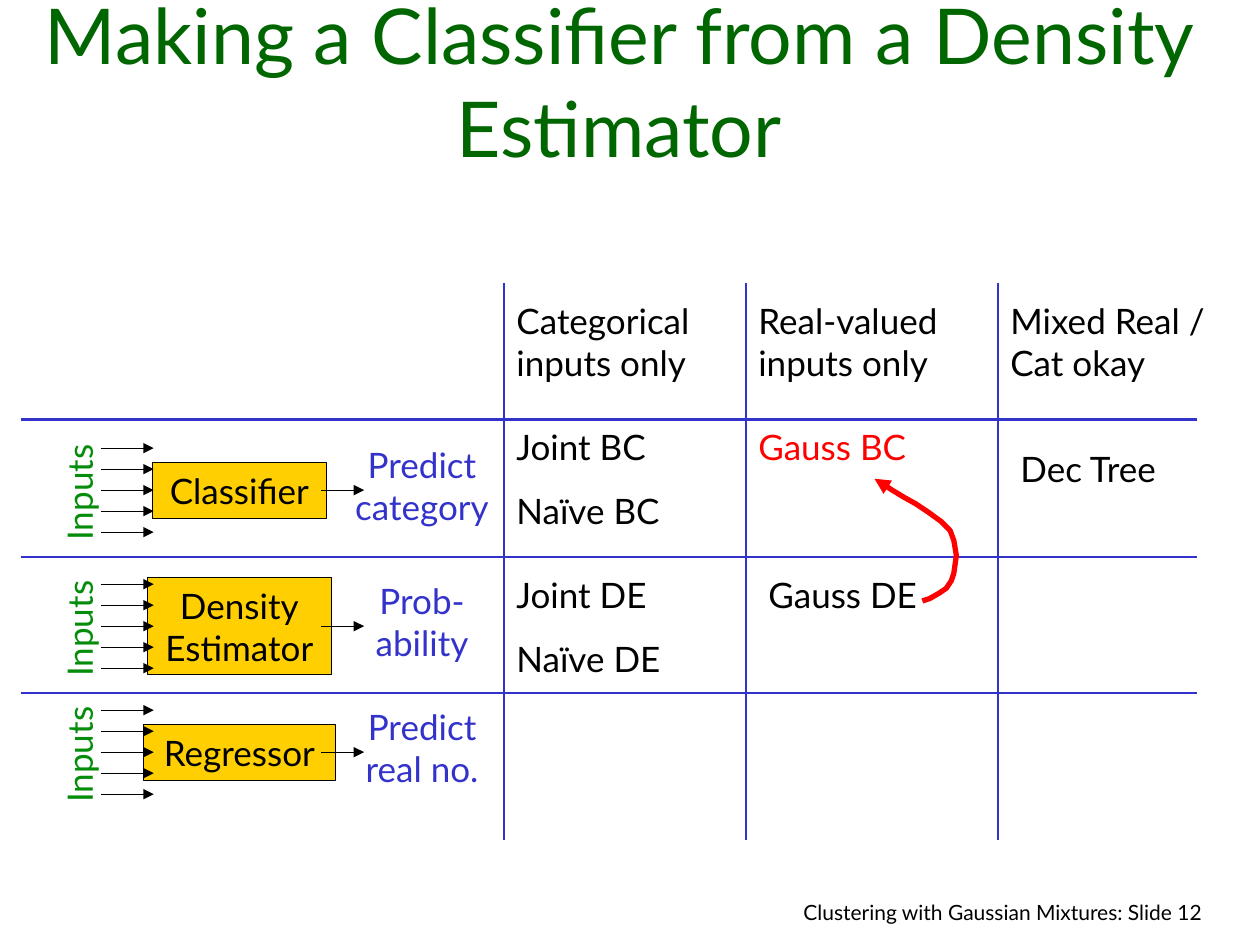
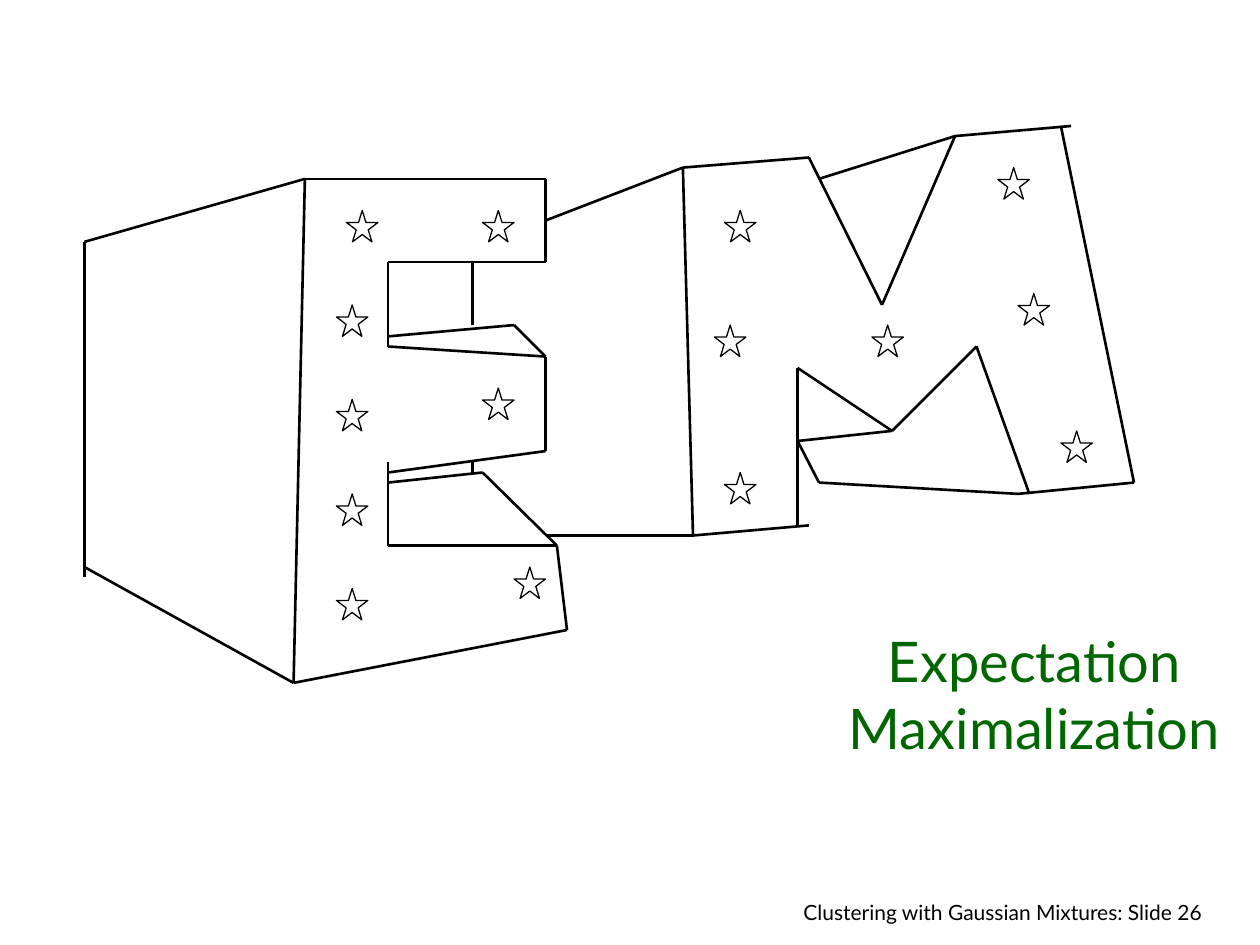
from pptx import Presentation
from pptx.dml.color import RGBColor
from pptx.enum.shapes import MSO_CONNECTOR, MSO_SHAPE
from pptx.enum.text import MSO_ANCHOR, MSO_AUTO_SIZE, PP_ALIGN
from pptx.oxml.ns import qn
from pptx.util import Inches, Pt
from lxml.etree import SubElement

COLORS = {
    "title": "006600",
    "inputs": "048C0A",
    "box": "FFCF01",
    "grid": "3333CC",
    "accent": "FF0000",
    "black": "000000",
}
FONT = "Lato"


def add_text(s, text, left, top, width, height, size=20, color="black", align=PP_ALIGN.LEFT,
             anchor=MSO_ANCHOR.TOP, before=0, wrap=True, grow=True, shape=None, rotation=0):
    place = [Inches(v) for v in (left, top, width, height)]
    sp = s.shapes.add_shape(shape, *place) if shape else s.shapes.add_textbox(*place)
    sp.rotation = rotation
    tf = sp.text_frame
    tf.word_wrap = wrap
    tf.auto_size = MSO_AUTO_SIZE.SHAPE_TO_FIT_TEXT if grow else MSO_AUTO_SIZE.NONE
    tf.vertical_anchor = anchor
    for i, line in enumerate(text.split("\n")):
        p = tf.paragraphs[0] if i == 0 else tf.add_paragraph()
        p.alignment = align
        p.space_before = Pt(before)
        r = p.add_run()
        r.text = line
        r.font.name = FONT
        r.font.size = Pt(size)
        r.font.color.rgb = RGBColor.from_string(COLORS[color])
    return sp


def add_line(s, points, color="black", width=1.5, arrow=False):
    points = [(Inches(x), Inches(y)) for x, y in points]
    if len(points) == 2:
        sp = s.shapes.add_connector(MSO_CONNECTOR.STRAIGHT, *points[0], *points[1])
        SubElement(sp._element.spPr, qn("a:effectLst"))
    else:
        builder = s.shapes.build_freeform(*points[0])
        builder.add_line_segments(points[1:], close=False)
        sp = builder.convert_to_shape()
        sp.shadow.inherit = False
        sp.fill.background()
    sp.line.color.rgb = RGBColor.from_string(COLORS[color])
    sp.line.width = Pt(width)
    if arrow:
        SubElement(sp.line._get_or_add_ln(), qn("a:tailEnd"), type="triangle")


prs = Presentation()
prs.slide_width, prs.slide_height = Inches(10), Inches(7.5)

titles = [
    (12, "Making a Classifier from a Density Estimator", (0.25, 0.25, 9.33, 1.17), 44),
    (26, "Expectation Maximalization", (6.42, 4.17, 3.58, 1.92), 32),
]
slides = []
for number, title, place, size in titles:
    s = prs.slides.add_slide(prs.slide_layouts[6])
    add_text(s, f"Clustering with Gaussian Mixtures: Slide {number}", 5.72, 7.09, 3.92, 0.33,
             size=12, align=PP_ALIGN.RIGHT, before=7.5)
    add_text(s, title, *place, size=size, color="title", align=PP_ALIGN.CENTER,
             anchor=MSO_ANCHOR.BOTTOM, grow=False)
    slides.append(s)
table_slide, em_slide = slides

s = table_slide
models = [
    (3.89, "Classifier", 1.38, 0.44, "Predict\ncategory", 1.34),
    (4.97, "Density\nEstimator", 1.46, 0.77, "Prob-\nability", 0.98),
    (5.97, "Regressor", 1.52, 0.44, "Predict\nreal no.", 1.19),
]
for mid, model, box_w, box_h, output, output_w in models:
    add_text(s, "Inputs", 0.11, mid - 0.2, 1.04, 0.44, color="inputs",
             align=PP_ALIGN.CENTER, wrap=False, rotation=270)
    box = add_text(s, model, 1.9 - box_w / 2, mid - box_h / 2, box_w, box_h,
                   align=PP_ALIGN.CENTER, anchor=MSO_ANCHOR.MIDDLE, wrap=False,
                   shape=MSO_SHAPE.RECTANGLE)
    box.shadow.inherit = False
    box.fill.solid()
    box.fill.fore_color.rgb = RGBColor.from_string(COLORS["box"])
    box.line.color.rgb = RGBColor.from_string(COLORS["black"])
    box.line.width = Pt(0.25)
    add_text(s, output, 3.35 - output_w / 2, mid - 0.42, output_w, 0.77, color="grid",
             align=PP_ALIGN.CENTER, wrap=False)
    for step in range(-2, 3):
        y = mid + step / 6
        add_line(s, [(0.8, y), (1.22, y)], width=0.25, arrow=True)
    add_line(s, [(2.55, mid), (2.89, mid)], width=0.25, arrow=True)

for y in (3.33, 4.42, 5.5):
    add_line(s, [(0.17, y), (9.5, y)], color="grid")
for x in (4, 5.92, 7.92):
    add_line(s, [(x, 6.67), (x, 2.25)], color="grid")

cells = [
    ("Categorical inputs only", 4, 2.33, 1.92, 0.77, "black"),
    ("Real-valued inputs only", 5.92, 2.33, 1.92, 0.77, "black"),
    ("Mixed Real / Cat okay", 7.92, 2.33, 1.92, 0.77, "black"),
    ("Joint BC\nNaïve BC", 4, 3.33, 1.67, 0.94, "black"),
    ("Gauss BC", 5.92, 3.33, 1.67, 0.44, "accent"),
    ("Dec Tree", 8, 3.5, 1.67, 0.44, "black"),
    ("Joint DE\nNaïve DE", 4, 4.5, 1.67, 0.94, "black"),
    ("Gauss DE", 6, 4.5, 1.67, 0.44, "black"),
]
for text, left, top, width, height, color in cells:
    add_text(s, text, left, top, width, height, color=color, before=12.5)

de_to_bc = [
    (7.32, 4.77), (7.38, 4.75), (7.45, 4.71), (7.51, 4.67), (7.55, 4.61), (7.57, 4.55),
    (7.58, 4.48), (7.59, 4.41), (7.57, 4.29), (7.54, 4.21), (7.47, 4.14), (7.36, 4.06),
    (7.27, 4), (7.18, 3.95), (7.08, 3.89), (7.02, 3.85), (6.94, 3.8),
]
add_line(s, de_to_bc, color="accent", width=3, arrow=True)

s = em_slide
e_outlines = [
    [(0.67, 4.58), (0.67, 1.92), (2.42, 1.42), (4.33, 1.42), (4.33, 2.08), (3.08, 2.08),
     (3.08, 2.75), (4.33, 2.83), (4.33, 3.58), (3.08, 3.75)],
    [(0.67, 4.5), (2.33, 5.42), (4.5, 5), (4.42, 4.33), (3.83, 3.75), (3.08, 3.83)],
    [(2.42, 1.42), (2.33, 5.42)],
    [(3.08, 3.67), (3.08, 4.33), (4.42, 4.33)],
    [(4.33, 2.83), (4.08, 2.58), (3.08, 2.67)],
    [(3.75, 2.08), (3.75, 2.58)],
    [(3.75, 3.67), (3.75, 3.75)],
]
m_outlines = [
    [(4.33, 1.75), (5.42, 1.33), (6.42, 1.25), (7, 2.42), (7.58, 1.08), (8.5, 1)],
    [(5.42, 1.33), (5.5, 4.25), (6.42, 4.17)],
    [(5.5, 4.25), (4.33, 4.25)],
    [(8.42, 1), (9, 3.83), (8.08, 3.92), (6.5, 3.83), (6.33, 3.5), (7.08, 3.42)],
    [(6.33, 4.17), (6.33, 2.92), (7.08, 3.42), (7.75, 2.75), (8.17, 3.92)],
    [(7.58, 1.08), (6.5, 1.42)],
]
for outline in e_outlines + m_outlines:
    for start, end in zip(outline, outline[1:]):
        add_line(s, [start, end])

e_stars = [(2.75, 1.67), (3.83, 1.67), (3.83, 3.08), (4.08, 4.5)]
e_stars += [(2.67, 2.42 + 0.75 * i) for i in range(4)]
m_stars = [(5.75, 1.67), (5.67, 2.58), (5.75, 3.75), (6.92, 2.58),
           (7.92, 1.33), (8.08, 2.33), (8.42, 3.42)]
for left, top in e_stars + m_stars:
    star = s.shapes.add_shape(MSO_SHAPE.STAR_5_POINT, Inches(left), Inches(top),
                              Inches(0.25), Inches(0.25))
    star.shadow.inherit = False
    star.fill.background()
    star.line.color.rgb = RGBColor.from_string(COLORS["black"])
    star.line.width = Pt(0.75)

prs.save("out.pptx")
